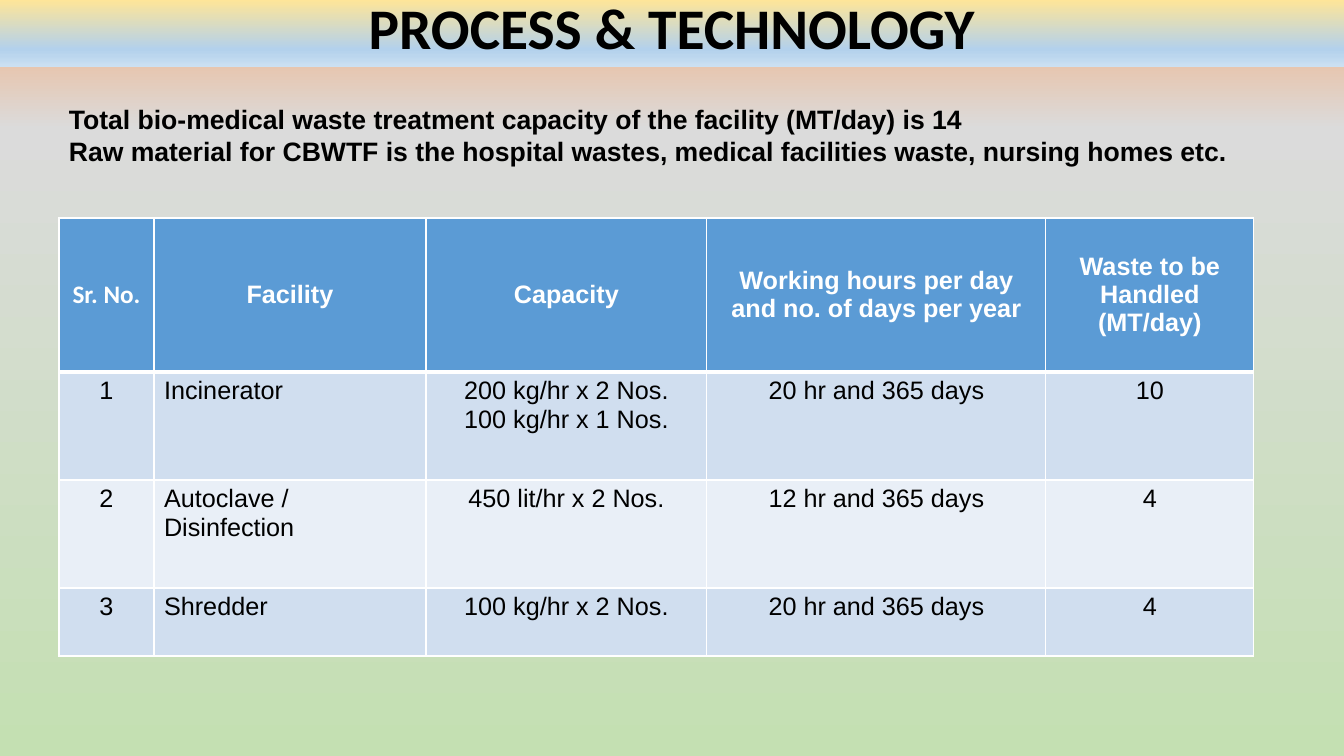
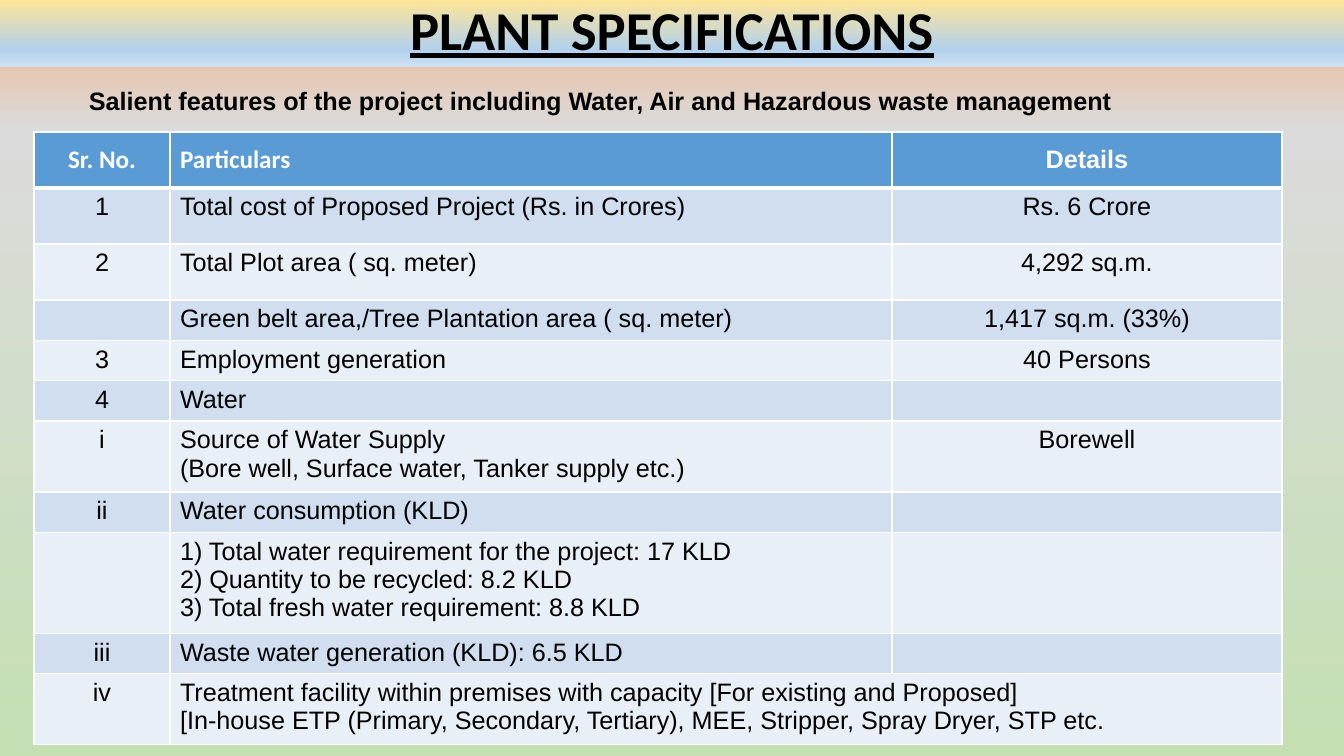
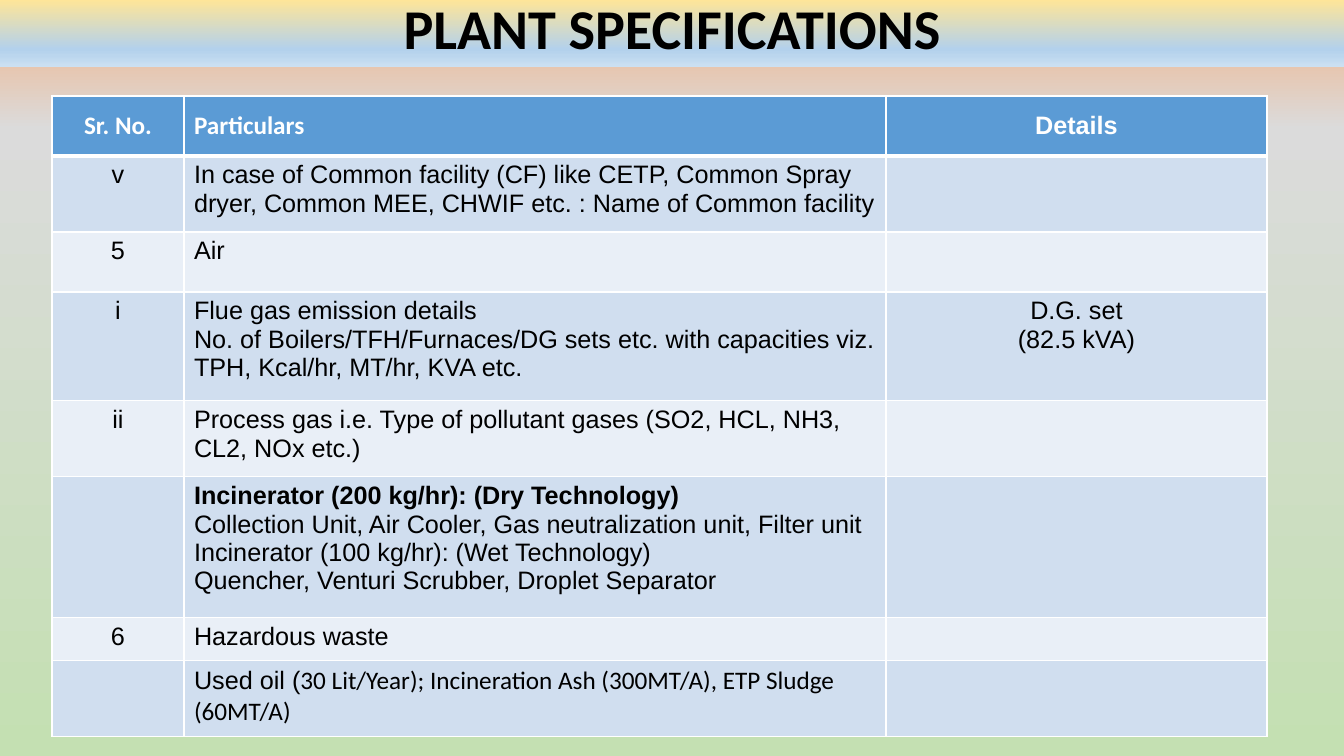
from copy import deepcopy

from lxml import etree
from pptx import Presentation
from pptx.dml.color import RGBColor
from pptx.enum.text import MSO_ANCHOR, MSO_AUTO_SIZE, PP_ALIGN
from pptx.oxml.ns import qn
from pptx.util import Emu, Pt

LEFT, CENTER = PP_ALIGN.LEFT, PP_ALIGN.CENTER
TOP, MIDDLE, BOTTOM = MSO_ANCHOR.TOP, MSO_ANCHOR.MIDDLE, MSO_ANCHOR.BOTTOM
NO_FIT = MSO_AUTO_SIZE.NONE

# Shared look
WIDE, HIGH, BAND = 1344, 756, 67
SANS, HEAD = "Arial", "Calibri"
BLACK, WHITE, BLUE = "000000", "FFFFFF", "5B9BD5"
STRIPES = ["E9EFF7", "D0DEEF"]
PAGE_STOPS = [(0, "F4B081"), (17, "DBDBDB"), (100, "C4E0B2")]
BAND_STOPS = [(0, "FEE599"), (74, "B3D1EC"), (83, "BBD6EE"), (100, "CCE0F2")]

# Table content: heads are (text, font, alignment)
UNIT_HEADS = [
    ("Sr. No.", HEAD, CENTER),
    ("Facility", SANS, CENTER),
    ("Capacity", SANS, CENTER),
    ("Working hours per day and no. of days per year", SANS, CENTER),
    ("Waste to be Handled (MT/day)", SANS, CENTER),
]
UNITS = [
    ("1", "Incinerator", "200 kg/hr x 2 Nos.\n100 kg/hr x 1 Nos.", "20 hr and 365 days", "10"),
    ("2", "Autoclave / Disinfection", "450 lit/hr x 2 Nos.", "12 hr and 365 days", "4"),
    ("3", "Shredder", "100 kg/hr x 2 Nos.", "20 hr and 365 days", "4"),
]
SPEC_HEADS = [
    ("Sr. No.", HEAD, CENTER),
    ("Particulars", HEAD, LEFT),
    ("Details", SANS, CENTER),
]
WATER = [
    ("1", "Total cost of Proposed Project (Rs. in Crores)", "Rs. 6 Crore"),
    ("2", "Total Plot area ( sq. meter)", "4,292 sq.m."),
    ("", "Green belt area,/Tree Plantation area ( sq. meter)", "1,417 sq.m. (33%)"),
    ("3", "Employment generation", "40 Persons"),
    ("4", "Water", ""),
    ("i", "Source of Water Supply\n(Bore well, Surface water, Tanker supply etc.)", "Borewell"),
    ("ii", "Water consumption (KLD)", ""),
    ("", "1) Total water requirement for the project: 17 KLD\n"
         "2) Quantity to be recycled: 8.2 KLD\n"
         "3) Total fresh water requirement: 8.8 KLD", ""),
    ("iii", "Waste water generation (KLD): 6.5 KLD", ""),
    ("iv", "Treatment facility within premises with capacity [For existing and Proposed]\n"
           "[In-house ETP (Primary, Secondary, Tertiary), MEE, Stripper, Spray Dryer, STP etc.", ""),
]
AIR = [
    ("v", "In case of Common facility (CF) like CETP, Common Spray dryer, "
          "Common MEE, CHWIF etc. : Name of Common facility", ""),
    ("5", "Air", ""),
    ("i", "Flue gas emission details\nNo. of Boilers/TFH/Furnaces/DG sets etc. "
          "with capacities viz. TPH, Kcal/hr, MT/hr, KVA etc.", "D.G. set\n(82.5 kVA)"),
    ("ii", "Process gas i.e. Type of pollutant gases (SO2, HCL, NH3, CL2, NOx etc.)", ""),
    ("", "Incinerator (200 kg/hr): (Dry Technology)\n"
         "Collection Unit, Air Cooler, Gas neutralization unit, Filter unit\n"
         "Incinerator (100 kg/hr): (Wet Technology)\n"
         "Quencher, Venturi Scrubber, Droplet Separator", ""),
    ("6", "Hazardous waste", ""),
    ("", "Used oil (", ""),
]


def px(n):
    return Emu(round(n * 914400 / 100.8))


def rgb(code):
    return RGBColor.from_string(code)


def blend(fill, root, stops):
    """Top-down gradient; root is the XML element that holds the fill."""
    fill.gradient()
    fill.gradient_angle = 270
    group = root.find(".//" + qn("a:gsLst"))
    while len(group) < len(stops):
        group.append(deepcopy(group[0]))
    for stop, (place, code) in zip(fill.gradient_stops, stops):
        stop.position = place / 100
        stop.color.rgb = rgb(code)


def style(frame, size, face=SANS, color=BLACK, bold=False, align=LEFT):
    for para in frame.paragraphs:
        para.alignment = align
        font = para.font
        font.name, font.size, font.bold = face, Pt(size), bold
        font.color.rgb = rgb(color)


def add_page(deck, text, size, line=False):
    """New slide with its title in the top band."""
    page = deck.slides.add_slide(deck.slide_layouts[5])
    title = page.shapes.title
    title.left, title.top, title.width, title.height = 0, 0, px(WIDE), px(BAND)
    blend(title.fill, title._element, BAND_STOPS)
    frame = title.text_frame
    frame.text = text
    frame.auto_size, frame.vertical_anchor = NO_FIT, BOTTOM
    style(frame, size, HEAD, bold=True, align=CENTER)
    para = frame.paragraphs[0]
    para.line_spacing = 0.9
    para.font.underline = line
    return page


def add_note(page, x, y, w, h, text, size):
    frame = page.shapes.add_textbox(px(x), px(y), px(w), px(h)).text_frame
    frame.word_wrap = True
    frame.text = text
    style(frame, size, bold=True)


def edge(cell, side, width):
    line = etree.SubElement(cell._tc.get_or_add_tcPr(), qn("a:ln" + side), w=str(Pt(width)))
    fill = etree.SubElement(line, qn("a:solidFill"))
    etree.SubElement(fill, qn("a:srgbClr"), val=WHITE)


def paint(cell, row, text, face, color, align, back):
    # The rule under the head row is thicker than the others
    for side in "LRTB":
        edge(cell, side, 3 if (row, side) in [(0, "B"), (1, "T")] else 1)
    cell.fill.solid()
    cell.fill.fore_color.rgb = rgb(back)
    cell.vertical_anchor = TOP if row else MIDDLE
    cell.text = text
    style(cell.text_frame, 18, face, color, bold=row == 0, align=align)


def add_grid(page, x, y, cols, rows, heads, body):
    grid = page.shapes.add_table(
        len(rows), len(cols), px(x), px(y), px(sum(cols)), px(sum(rows))).table
    for col, width in zip(grid.columns, cols):
        col.width = px(width)
    for row, height in zip(grid.rows, rows):
        row.height = px(height)
    for c, (text, face, align) in enumerate(heads):
        paint(grid.cell(0, c), 0, text, face, WHITE, align, BLUE)
    for r, texts in enumerate(body, 1):
        for c, text in enumerate(texts):
            align = LEFT if c == 1 else CENTER
            paint(grid.cell(r, c), r, text, SANS, BLACK, align, STRIPES[r % 2])
    return grid


def main():
    deck = Presentation()
    deck.slide_width, deck.slide_height = px(WIDE), px(HIGH)
    master = deck.slide_master
    blend(master.background.fill, master._element, PAGE_STOPS)

    # Process
    page = add_page(deck, "PROCESS & TECHNOLOGY", 41)
    add_note(page, 59, 98, 1213, 72,
             "Total bio-medical waste treatment capacity of the facility (MT/day) is 14\n"
             "Raw material for CBWTF is the hospital wastes, medical facilities waste, "
             "nursing homes etc.", 19)
    add_grid(page, 59, 218, [95, 272, 281, 339, 208], [154, 108, 108, 68], UNIT_HEADS, UNITS)

    # Cost, land and water
    page = add_page(deck, "PLANT SPECIFICATIONS", 39.1, line=True)
    add_note(page, 79, 80, 1228, 40,
             "Salient features of the project including Water, Air and Hazardous "
             "waste management", 18)
    grid = add_grid(page, 34, 132, [136, 722, 390],
                    [56, 56, 56, 40, 40, 40, 71, 40, 101, 40, 71], SPEC_HEADS, WATER)
    grid.cell(10, 1).merge(grid.cell(10, 2))

    # Air and hazardous waste
    page = add_page(deck, "PLANT SPECIFICATIONS", 40.1)
    grid = add_grid(page, 52, 96, [132, 702, 381],
                    [60, 76, 60, 109, 76, 141, 43, 76], SPEC_HEADS, AIR)
    grid.cell(5, 1).text_frame.paragraphs[0].font.bold = True
    run = grid.cell(7, 1).text_frame.paragraphs[0].add_run()
    run.text = "30 Lit/Year); Incineration Ash (300MT/A), ETP Sludge (60MT/A)"
    run.font.name = HEAD

    deck.save("out.pptx")


if __name__ == "__main__":
    main()
